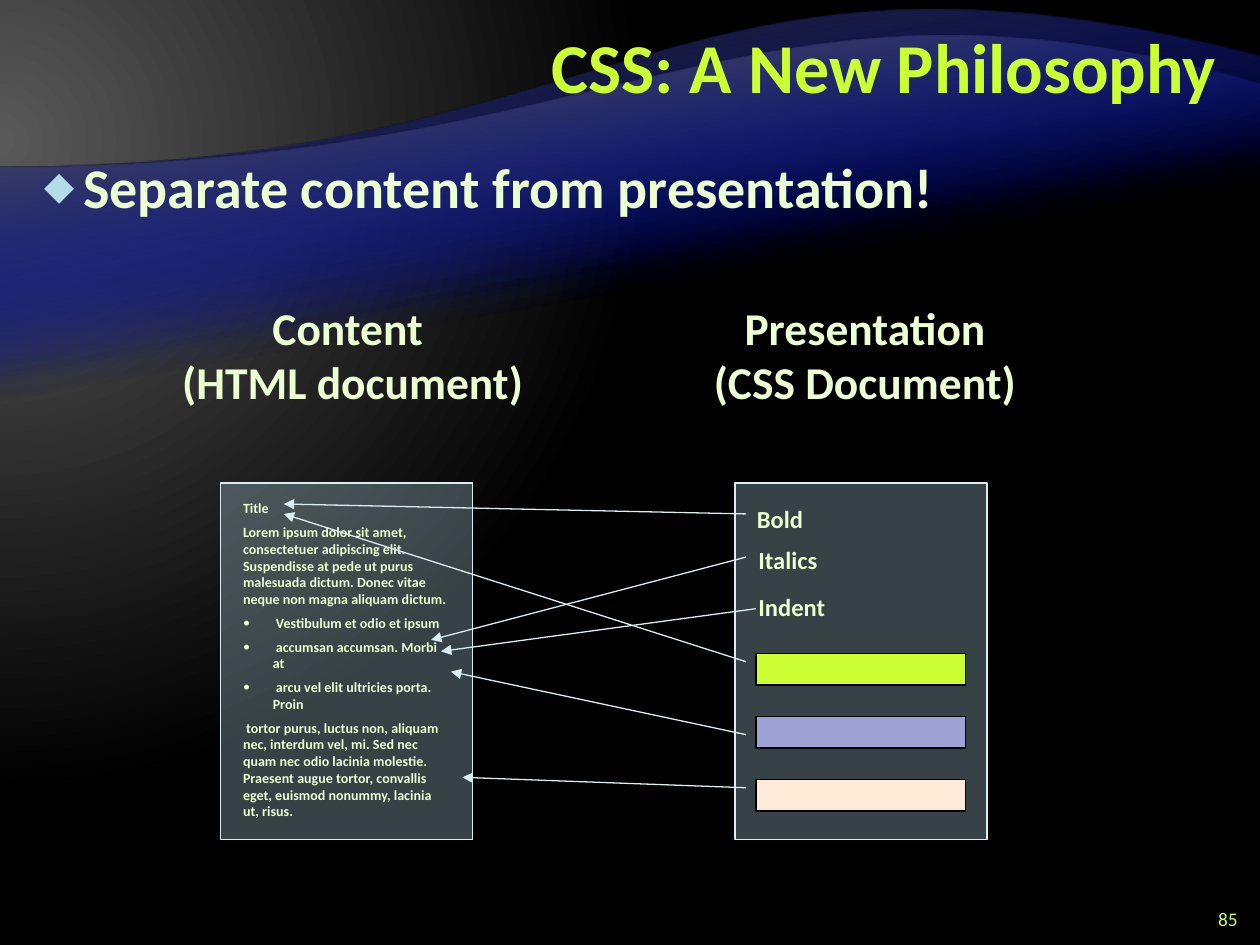
from dataclasses import dataclass

from pptx import Presentation
from pptx.dml.color import RGBColor
from pptx.enum.shapes import MSO_CONNECTOR, MSO_SHAPE
from pptx.enum.text import MSO_ANCHOR, PP_ALIGN
from pptx.oxml.ns import qn
from pptx.slide import Slide
from pptx.util import Cm, Pt
from lxml.etree import SubElement

LIME = RGBColor(0xCC, 0xFF, 0x33)
PALE_LIME = RGBColor(0xCC, 0xFF, 0x66)
CREAM = RGBColor(0xEB, 0xFF, 0xD2)
ICE = RGBColor(0xB5, 0xDB, 0xE5)
FROST = RGBColor(0xDA, 0xED, 0xF2)
LAVENDER = RGBColor(0x9D, 0xA1, 0xD4)
PEACH = RGBColor(0xFF, 0xEA, 0xD8)
BLUE = RGBColor(0x00, 0x0D, 0x9E)
GREY = RGBColor(0x59, 0x59, 0x59)
CHARCOAL = RGBColor(0x26, 0x26, 0x26)
BLACK = RGBColor(0x00, 0x00, 0x00)


def set_alpha(element, percent):
    """Make the first RGB colour inside an element partly transparent."""
    colour = element.find(".//" + qn("a:srgbClr"))
    SubElement(colour, qn("a:alpha"), val=str(percent * 1000))


def set_stops(fill, *stops):
    """Give a gradient fill its two stops."""
    for stop, (position, colour) in zip(fill.gradient_stops, stops):
        stop.position = position
        stop.color.rgb = colour


@dataclass
class Deck:
    """Holds the style and the current slide."""

    slide: Slide
    font: str = "Calibri"
    line_width: float = 0.75

    def background(self):
        """Fill the background with a radial glow from the upper left."""
        fill = self.slide.background.fill
        fill.gradient()
        set_stops(fill, (0, GREY), (0.83, BLACK))
        gradient = self.slide.element.find(".//" + qn("a:gradFill"))
        gradient.remove(gradient.find(qn("a:lin")))
        glow = SubElement(gradient, qn("a:path"), path="circle")
        SubElement(glow, qn("a:fillToRect"),
                   l="20000", t="30000", r="135000", b="100000")

    def wave(self, left_y, control, right_y, bottom, crest):
        """Put an upturned full-width wave with a curved edge on the layout."""
        outline = [(25.4, bottom), (0, bottom), (0, left_y),
                   (12.7, left_y), control, (25.4, right_y)]
        turned = [(Cm(25.4 - x), Cm(right_y + bottom - y)) for x, y in outline]
        builder = self.slide.shapes.build_freeform(*turned[0])
        builder.add_line_segments(turned[1:3] + turned[5:], close=True)
        wave = builder.convert_to_shape()
        straight = wave.element.findall(".//" + qn("a:lnTo"))[2]
        curve = straight.makeelement(qn("a:cubicBezTo"))
        for x, y in turned[3:]:
            SubElement(curve, qn("a:pt"), x=str(x - wave.left), y=str(y - wave.top))
        straight.getparent().replace(straight, curve)
        wave.rotation = 180
        wave.shadow.inherit = False
        wave.line.fill.background()
        wave.fill.gradient()
        wave.fill.gradient_angle = 280
        set_stops(wave.fill, (0.65, BLUE), (1, crest))
        set_alpha(wave.element.spPr, 0)
        self.slide.slide_layout.shapes.element.append(wave.element)

    def style(self, paragraph, size, colour, bold, align):
        """Set the font and alignment of a paragraph."""
        paragraph.alignment = align
        font = paragraph.font
        font.name, font.size, font.bold = self.font, Pt(size), bold
        font.color.rgb = colour

    def title(self, text, left, top, width, height):
        """Fill and place the title placeholder."""
        title = self.slide.shapes.title
        title.left, title.top, title.width, title.height = map(Cm, (left, top, width, height))
        title.text_frame.text = text
        title.text_frame.vertical_anchor = MSO_ANCHOR.MIDDLE
        paragraph = title.text_frame.paragraphs[0]
        paragraph.line_spacing = Pt(40)
        self.style(paragraph, 40, LIME, True, PP_ALIGN.RIGHT)

    def text(self, lines, left, top, width, height, size, colour=CREAM, bold=True,
             align=PP_ALIGN.LEFT, wrap=True, anchor=MSO_ANCHOR.TOP, gap=0):
        """Add a text box with one paragraph per line and return its paragraphs."""
        box = self.slide.shapes.add_textbox(Cm(left), Cm(top), Cm(width), Cm(height))
        frame = box.text_frame
        frame.word_wrap = wrap
        frame.vertical_anchor = anchor
        frame.text = "\n".join(lines)
        for index, paragraph in enumerate(frame.paragraphs):
            if gap and index:
                paragraph.space_before = Pt(gap)
            if lines[index] in BULLETS:
                self.bullet(paragraph, *BULLETS[lines[index]])
            self.style(paragraph, size, colour, bold, align)
        return frame.paragraphs

    def bullet(self, paragraph, mark, indent, colour, percent):
        """Give a paragraph a hanging bullet."""
        properties = paragraph._p.get_or_add_pPr()
        properties.set("marL", str(Cm(indent)))
        properties.set("indent", str(-Cm(indent)))
        bullet_colour = SubElement(properties, qn("a:buClr"))
        SubElement(bullet_colour, qn("a:srgbClr"), val=str(colour))
        SubElement(properties, qn("a:buSzPct"), val=str(percent * 1000))
        SubElement(properties, qn("a:buFont"), typeface=self.font)
        SubElement(properties, qn("a:buChar"), char=mark)

    def rectangle(self, left, top, width, height, fill, line, alpha=100):
        """Add a filled and outlined rectangle."""
        box = self.slide.shapes.add_shape(
            MSO_SHAPE.RECTANGLE, Cm(left), Cm(top), Cm(width), Cm(height))
        box.shadow.inherit = False
        box.fill.solid()
        box.fill.fore_color.rgb = fill
        if alpha < 100:
            set_alpha(box.element.spPr, alpha)
        box.line.color.rgb = line
        box.line.width = Pt(self.line_width)

    def arrow(self, start, end):
        """Add a straight arrow that points at its end."""
        arrow = self.slide.shapes.add_connector(
            MSO_CONNECTOR.STRAIGHT, *map(Cm, (*start, *end)))
        arrow.line.color.rgb = FROST
        arrow.line.width = Pt(self.line_width)
        properties = arrow.element.spPr
        SubElement(properties.find(qn("a:ln")), qn("a:tailEnd"), type="triangle")
        SubElement(properties, qn("a:effectLst"))


HEADLINE = "Separate content from presentation!"
LIST_ITEMS = [
    " Vestibulum et odio et ipsum",
    " accumsan accumsan. Morbi at",
    " arcu vel elit ultricies porta. Proin",
]
DOCUMENT = [
    "Title",
    "Lorem ipsum dolor sit amet, consectetuer adipiscing elit. Suspendisse at pede ut "
    "purus malesuada dictum. Donec vitae neque non magna aliquam dictum.",
    *LIST_ITEMS,
    " tortor purus, luctus non, aliquam nec, interdum vel, mi. Sed nec quam nec odio lacinia "
    "molestie. Praesent augue tortor, convallis eget, euismod nonummy, lacinia ut, risus.",
]
BULLETS = {HEADLINE: ("◆", 0.79, ICE, 70),
           **{item: ("•", 0.6, CREAM, 100) for item in LIST_ITEMS}}
WAVES = [
    (3.38, (13.56, -1.91), 1.14, 16.59, CHARCOAL),
    (3.38, (15.19, -1.24), 1.7, 14.15, GREY),
]
HEADINGS = [
    (["Content ", "(HTML document)"], 3.23, 7.77),
    (["Presentation", "(CSS Document)"], 13.92, 7.04),
]
STYLE_LABELS = [("Bold", 15.01, 10.03, 1.5), ("Italics", 15.04, 10.87, 1.78),
                ("Indent", 15.04, 11.81, 1.93)]
ARROWS = [
    ((15.04, 10.36), (5.72, 10.16)),
    ((15.04, 11.23), (8.69, 12.9)),
    ((15.24, 12.27), (8.89, 13.13)),
    ((15.04, 13.34), (5.72, 10.36)),
    ((15.04, 14.81), (9.09, 13.54)),
    ((15.04, 15.88), (9.32, 15.67)),
]


def main():
    """Build the slide and save it."""
    presentation = Presentation()
    presentation.slide_width, presentation.slide_height = Cm(25.4), Cm(19.05)
    deck = Deck(presentation.slides.add_slide(presentation.slide_layouts[5]))
    deck.background()
    for wave in WAVES * 2:
        deck.wave(*wave)
    deck.title("CSS: A New Philosophy", 5.08, 0.2, 19.69, 2.54)
    headline = deck.text([HEADLINE], 0.64, 2.97, 24.13, 15.67, 32)[0]
    headline.line_spacing = Pt(38)
    deck.text(["85"], 23.93, 18.21, 1.27, 0.64, 11, PALE_LIME, bold=False,
              align=PP_ALIGN.RIGHT, anchor=MSO_ANCHOR.MIDDLE)
    for left in (4.45, 14.82):
        deck.rectangle(left, 9.74, 5.08, 7.19, ICE, FROST, alpha=30)
    deck.text(DOCUMENT, 4.65, 9.95, 4.65, 6.58, 8, gap=4)
    for row, colour in enumerate((LIME, LAVENDER, PEACH)):
        deck.rectangle(15.24, 13.17 + 1.27 * row, 4.23, 0.64, colour, BLACK)
    for label, left, top, width in STYLE_LABELS:
        deck.text([label], left, top, width, 0.84, 14, wrap=False)
    for lines, left, width in HEADINGS:
        deck.text(lines, left, 5.92, width, 2.49, 26, align=PP_ALIGN.CENTER, wrap=False)
    for start, end in ARROWS:
        deck.arrow(start, end)
    presentation.save("out.pptx")


if __name__ == "__main__":
    main()
